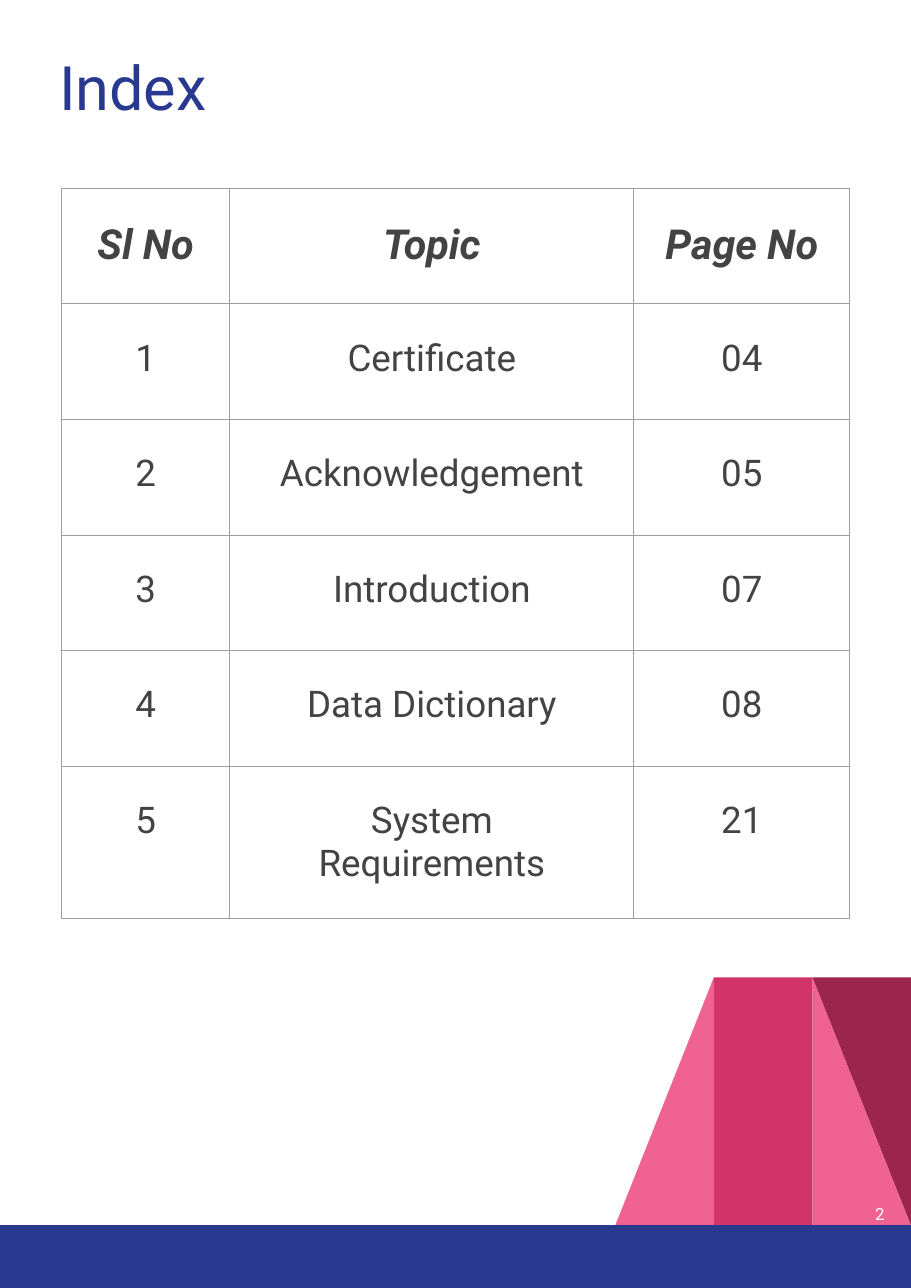
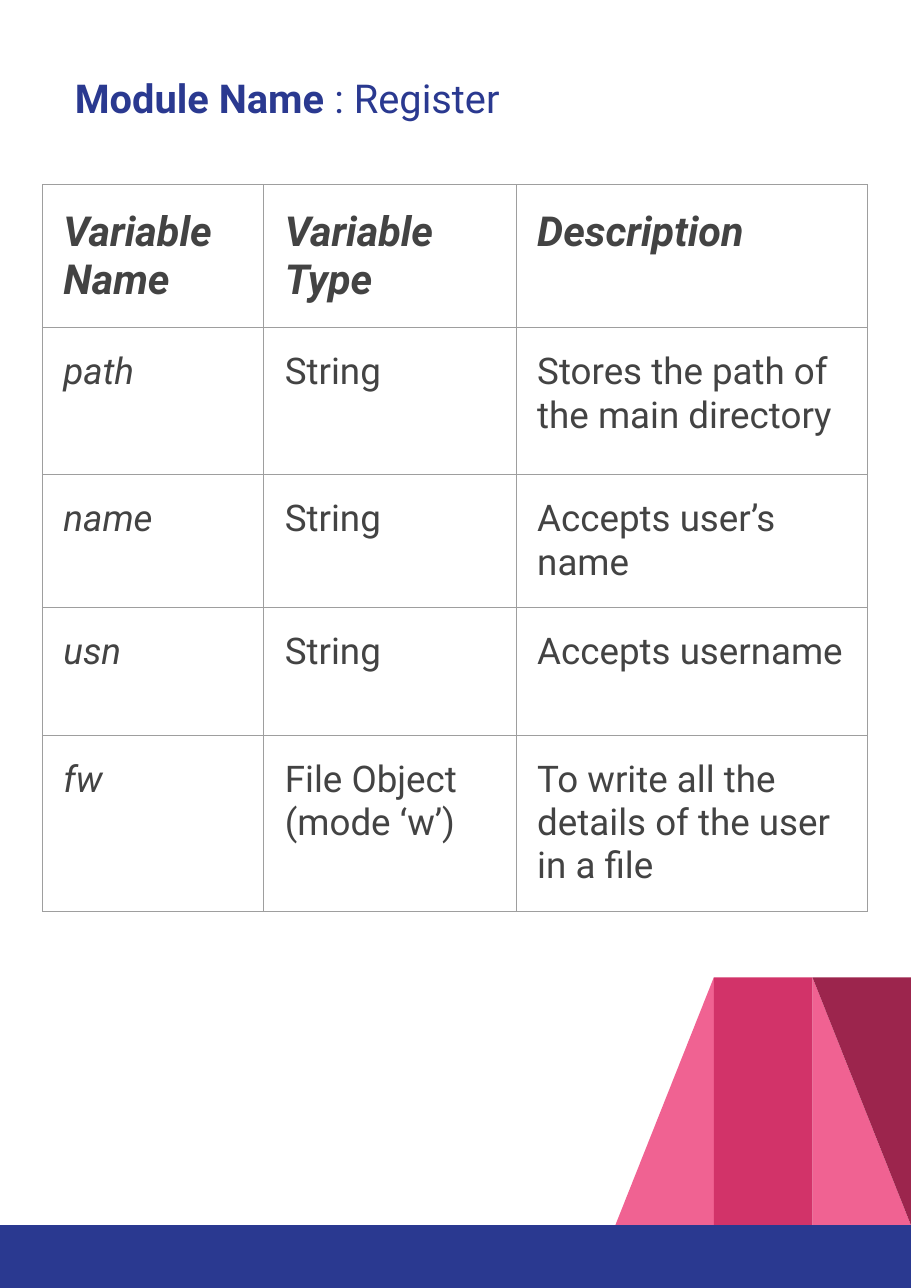
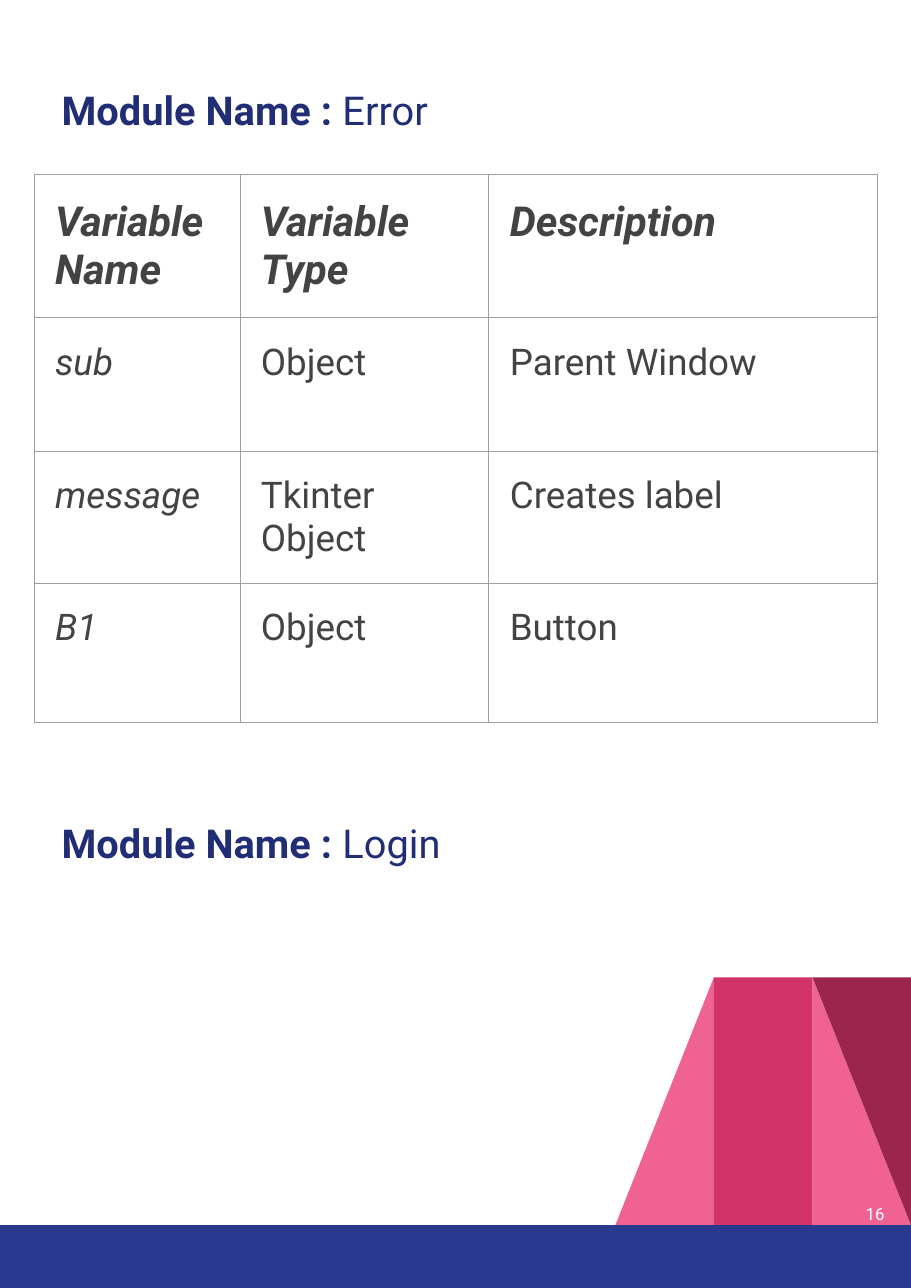
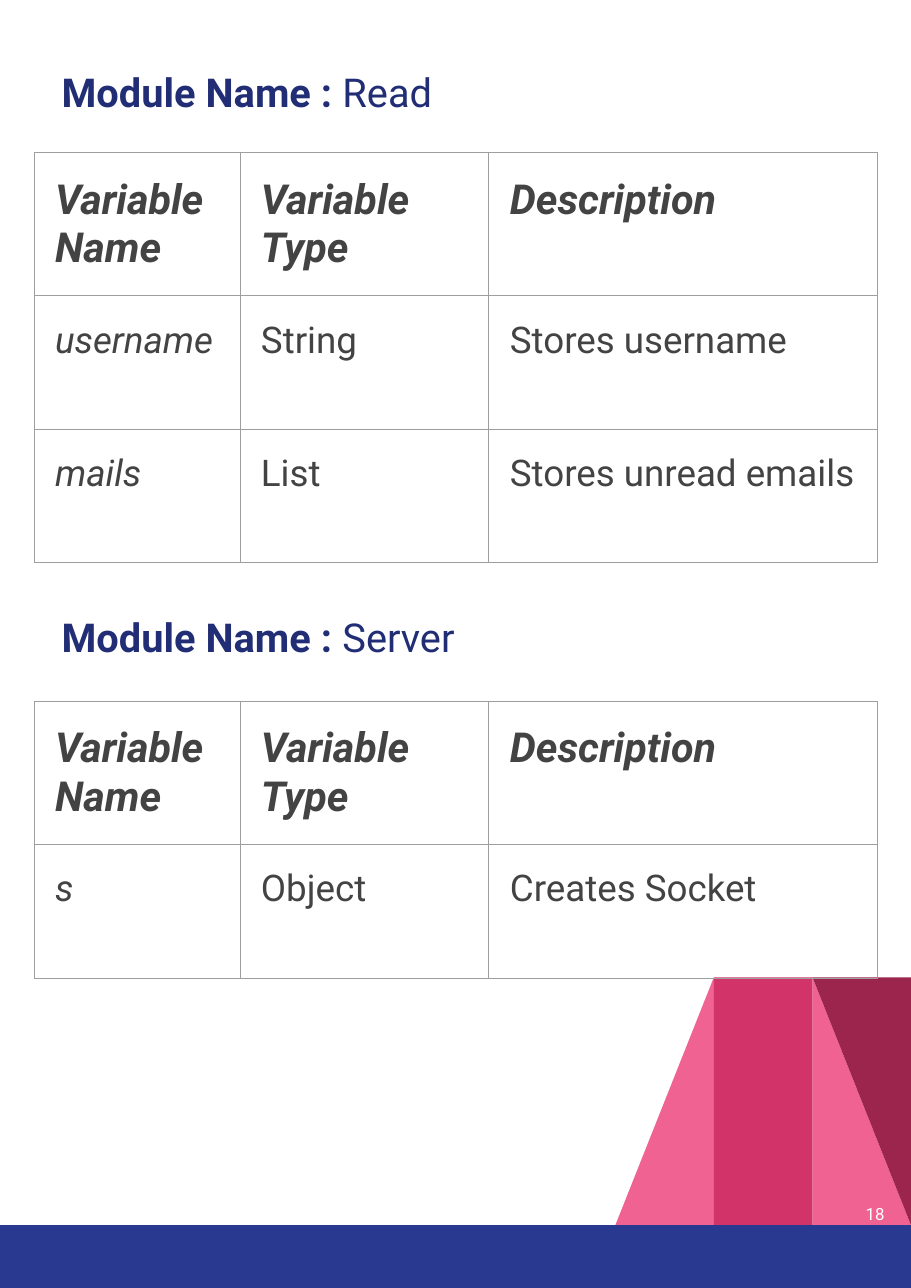
from lxml.etree import SubElement
from pptx import Presentation
from pptx.dml.color import RGBColor
from pptx.enum.shapes import MSO_SHAPE
from pptx.enum.text import MSO_ANCHOR, MSO_AUTO_SIZE, PP_ALIGN
from pptx.oxml.ns import qn
from pptx.util import Pt

COLORS = {"band": "2A3990", "heading": "212D74", "text": "434343", "grid": "9E9E9E",
          "light": "F06292", "middle": "D23369", "dark": "9C254D", "white": "FFFFFF"}
FONT = "Roboto"
PAGE_WIDTH, PAGE_HEIGHT = 595.44, 841.68
BAND_HEIGHT = 41
STRIPE_WIDTH, STRIPE_HEIGHT = 64.4, 162
HEADING_BOX = {"width": 556.6, "height": 64}
VARIABLE_HEADER = ("Variable Name", "Variable Type", "Description")
VARIABLE_COLUMNS = (134.6, 162.7, 254.2)
VARIABLE_LEFT = 22.3
VARIABLE_INSETS = (13.7, 15.1)
HEADER_HEIGHT, ROW_HEIGHT = 93.5, 87.2
HEADER_STYLE = {"size": 27, "bold": True, "italic": True}
BODY_STYLE = {"size": 24, "bold": False, "italic": False}
NAME_STYLE = {**BODY_STYLE, "italic": True}


def add_span(para, text, color, **style):
    """Add one run with its font, colour and style."""
    span = para.add_run()
    span.text = text
    span.font.name = FONT
    span.font.color.rgb = RGBColor.from_string(COLORS[color])
    for name, value in style.items():
        setattr(span.font, name, Pt(value) if name == "size" else value)


def set_frame(frame, inset_x, inset_y, anchor):
    """Set the insets, wrapping and anchor of a text frame."""
    values = {"margin_left": Pt(inset_x), "margin_right": Pt(inset_x),
              "margin_top": Pt(inset_y), "margin_bottom": Pt(inset_y),
              "vertical_anchor": anchor, "word_wrap": True,
              "auto_size": MSO_AUTO_SIZE.NONE}
    for name, value in values.items():
        setattr(frame, name, value)


def place(box, left, top, width, height):
    """Move and size a box."""
    for name, value in zip(("left", "top", "width", "height"), (left, top, width, height)):
        setattr(box, name, Pt(value))


def decorate_layout(layout, page):
    """Draw the stripes and the bottom band and move them to the layout."""
    for holder in list(layout.placeholders):
        if holder.placeholder_format.idx:
            holder.element.getparent().remove(holder.element)
    band_top = PAGE_HEIGHT - BAND_HEIGHT
    top = band_top - STRIPE_HEIGHT
    last, middle, first = (PAGE_WIDTH - count * STRIPE_WIDTH for count in (1, 2, 3))
    stripe = (STRIPE_WIDTH, STRIPE_HEIGHT)
    triangle, rectangle = MSO_SHAPE.RIGHT_TRIANGLE, MSO_SHAPE.RECTANGLE
    parts = [
        (triangle, (last, top, *stripe), "light", 0, False),
        (triangle, (first, top, *stripe), "light", 0, True),
        (rectangle, (middle, top, *stripe), "middle", 0, False),
        (triangle, (last, top, *stripe), "dark", 180, False),
        (rectangle, (0, band_top, PAGE_WIDTH, BAND_HEIGHT), "band", 0, False),
    ]
    for kind, area, color, rotation, flipped in parts:
        shape = page.shapes.add_shape(kind, *map(Pt, area))
        shape.shadow.inherit = False
        shape.fill.solid()
        shape.fill.fore_color.rgb = RGBColor.from_string(COLORS[color])
        shape.line.fill.background()
        shape.rotation = rotation
        if flipped:
            shape.element.spPr.find(qn("a:xfrm")).set("flipH", "1")
        layout.shapes.element.append(shape.element)


def add_index_title(page, text):
    """Fill the title of the index page."""
    box = page.shapes.title
    place(box, 20.2, 23.8, 555, 99.2)
    set_frame(box.text_frame, 18.5, 8.6, MSO_ANCHOR.TOP)
    para = box.text_frame.paragraphs[0]
    para.alignment = PP_ALIGN.LEFT
    add_span(para, text, "band", size=40)


def add_module_heading(box, left, top, label, name, color="heading"):
    """Fill a box with a bold label and a module name."""
    place(box, left, top, **HEADING_BOX)
    set_frame(box.text_frame, 20.9, 20.9, MSO_ANCHOR.MIDDLE)
    para = box.text_frame.paragraphs[0]
    para.alignment = PP_ALIGN.LEFT
    para.line_spacing = 1.15
    add_span(para, label, color, size=26, bold=True)
    add_span(para, name, color, size=26, bold=False)


def add_page_number(page, number):
    """Put the page number above the band."""
    box = page.shapes.add_textbox(Pt(550.8), Pt(761), Pt(36), Pt(64))
    set_frame(box.text_frame, 8.6, 8.6, MSO_ANCHOR.MIDDLE)
    para = box.text_frame.paragraphs[0]
    para.alignment = PP_ALIGN.RIGHT
    add_span(para, number, "white", size=11)


def set_borders(cell):
    """Draw a thin grey line on all four sides of a cell."""
    properties = cell._tc.get_or_add_tcPr()
    for side in ("lnL", "lnR", "lnT", "lnB"):
        line = SubElement(properties, qn(f"a:{side}"), w=str(Pt(0.75)))
        fill = SubElement(line, qn("a:solidFill"))
        SubElement(fill, qn("a:srgbClr"), val=COLORS["grid"])


def add_grid(page, left, top, columns, heights, rows, insets, align, name_style):
    """Add a bordered table whose first row is the header."""
    area = map(Pt, (left, top, sum(columns), sum(heights)))
    table = page.shapes.add_table(len(rows), len(columns), *area).table
    table.first_row = table.horz_banding = False
    for column, width in zip(table.columns, columns):
        column.width = Pt(width)
    for row, height, texts in zip(table.rows, heights, rows):
        row.height = Pt(height)
        for position, (cell, text) in enumerate(zip(row.cells, texts)):
            cell.margin_left = cell.margin_right = Pt(insets[0])
            cell.margin_top = cell.margin_bottom = Pt(insets[1])
            set_borders(cell)
            cell.fill.background()
            style = HEADER_STYLE if texts is rows[0] else BODY_STYLE if position else name_style
            frame = cell.text_frame
            for number, line in enumerate(text.split("\n")):
                para = frame.add_paragraph() if number else frame.paragraphs[0]
                para.alignment = align
                add_span(para, line, "text", **style)


def add_variables(page, top, rows, heights=None, left=VARIABLE_LEFT, columns=VARIABLE_COLUMNS):
    """Add the table of a module's variables."""
    heights = heights or [ROW_HEIGHT] * len(rows)
    add_grid(page, left, top, columns, [HEADER_HEIGHT, *heights], [VARIABLE_HEADER, *rows],
             VARIABLE_INSETS, PP_ALIGN.LEFT, NAME_STYLE)


def build_index(page):
    """Build the index page."""
    add_index_title(page, "Index")
    rows = [("Sl No", "Topic", "Page No"),
            ("1", "Certificate", "04"),
            ("2", "Acknowledgement", "05"),
            ("3", "Introduction", "07"),
            ("4", "Data Dictionary", "08"),
            ("5", "System Requirements", "21")]
    add_grid(page, 40.2, 123, (110, 264.2, 141), [75.6] * 5 + [99.4], rows,
             (20.2, 21.6), PP_ALIGN.CENTER, BODY_STYLE)
    add_page_number(page, "2")


def build_register(page):
    """Build the page of the Register module."""
    add_module_heading(page.shapes.title, 28, 29.6, "Module Name", " : Register", "band")
    rows = [("path", "String", "Stores the path of the main directory"),
            ("name", "String", "Accepts user’s name"),
            ("usn", "String", "Accepts username"),
            ("fw", "File Object\n(mode ‘w’)", "To write all the details of the user in a file")]
    add_variables(page, 120.6, rows, (96, 86.2, 83.8, 114.2), 27.8, (144.7, 165, 229.6))


def build_modules(page, number, modules):
    """Build a page of modules, each a heading with an optional table."""
    for position, (name, top, table_top, rows, heights) in enumerate(modules):
        box = page.shapes.add_textbox(0, 0, 0, 0) if position else page.shapes.title
        add_module_heading(box, 19.4, top, "Module Name : ", name)
        if rows:
            add_variables(page, table_top, rows, heights)
    add_page_number(page, number)


def main():
    """Build the deck and save it."""
    deck = Presentation()
    deck.slide_width, deck.slide_height = Pt(PAGE_WIDTH), Pt(PAGE_HEIGHT)
    layout = deck.slide_layouts[5]
    pages = [deck.slides.add_slide(layout) for _ in range(4)]
    decorate_layout(layout, pages[0])
    build_index(pages[0])
    build_register(pages[1])
    errors = [("sub", "Object", "Parent Window"),
              ("message", "Tkinter Object", "Creates label"),
              ("B1", "Object", "Button")]
    reads = [("username", "String", "Stores username"),
             ("mails", "List", "Stores unread emails")]
    servers = [("s", "Object", "Creates Socket")]
    build_modules(pages[2], "16", [("Error", 37.4, 114.2, errors, (87, 86.4, 90.7)),
                                   ("Login", 516.2, 0, None, None)])
    build_modules(pages[3], "18", [("Read", 25.2, 99.8, reads, None),
                                   ("Server", 381.6, 458.4, servers, None)])
    deck.save("out.pptx")


if __name__ == "__main__":
    main()
